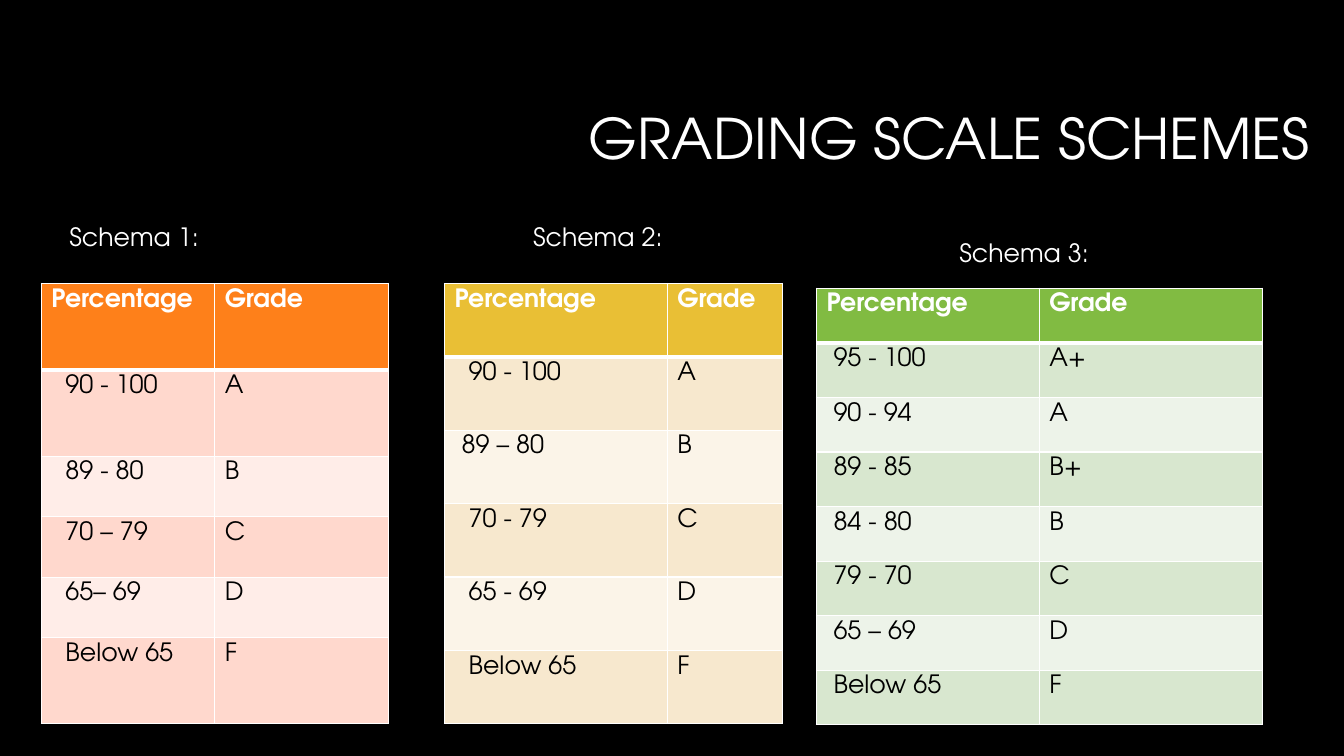
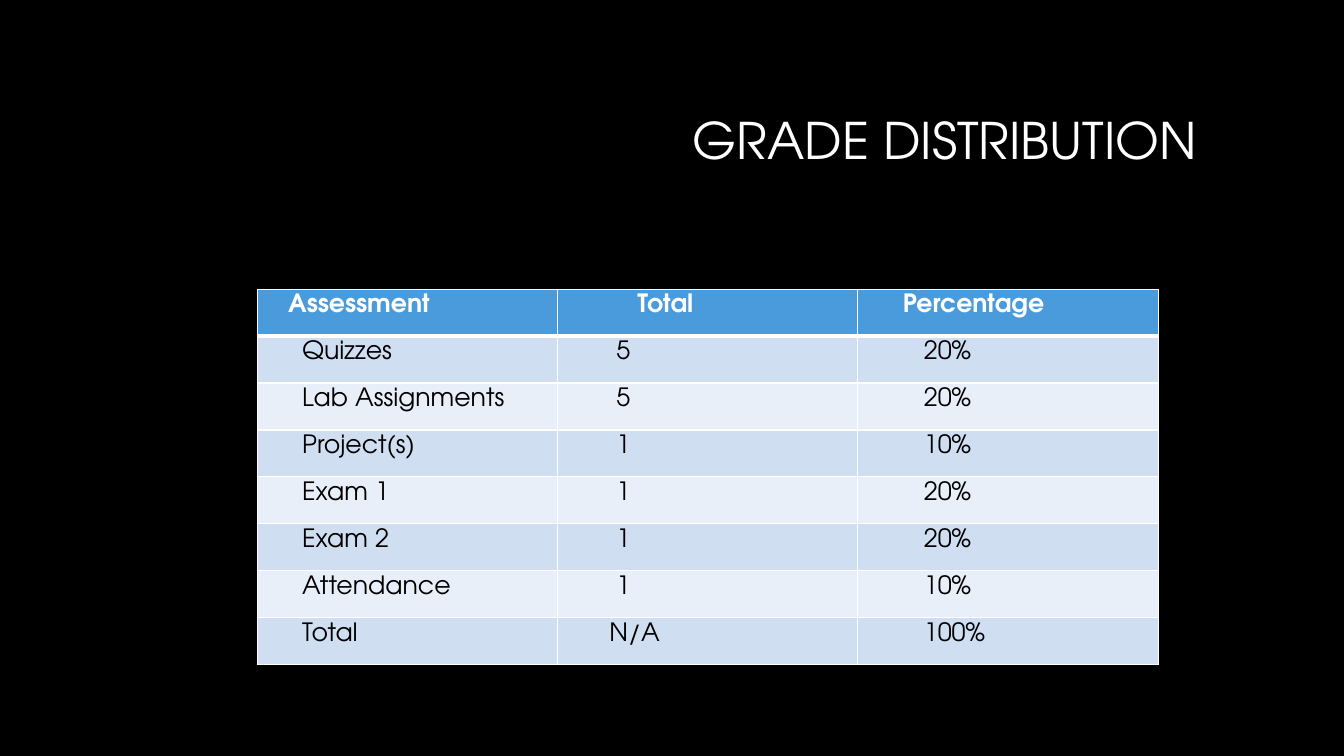
from dataclasses import dataclass

from lxml.etree import SubElement
from pptx import Presentation
from pptx.dml.color import RGBColor as Color
from pptx.enum.text import MSO_ANCHOR as Anchor, MSO_AUTO_SIZE as AutoSize, PP_ALIGN as Align
from pptx.oxml.ns import qn
from pptx.util import Inches, Pt


@dataclass(frozen=True)
class Theme:
    font: str = "TeX Gyre Adventor"
    background: str = "000000"
    light: str = "FFFFFF"
    dark: str = "000000"
    orange: tuple = ("FE801A", "FFD8CD", "FFEDE8")
    yellow: tuple = ("E9BF35", "F7E8CE", "FBF4E8")
    green: tuple = ("81BB42", "D8E7CF", "EDF3E9")
    blue: tuple = ("4A9BDC", "D0DEF2", "E9EFF9")
    title_size: int = 40
    small_title_size: int = 36
    body_size: int = 18
    thin: int = 1
    thick: int = 3
    cell_margin: float = 0.75
    indent_step: float = 0.52


class Deck:
    def __init__(self, theme):
        self.theme = theme
        self.presentation = Presentation()
        self.presentation.slide_width = Inches(13.33)
        self.presentation.slide_height = Inches(7.5)
        self.slide = None
        fill = self.presentation.slide_master.background.fill
        fill.solid()
        fill.fore_color.rgb = Color.from_string(theme.background)

    def across(self, percent):
        return round(self.presentation.slide_width * percent / 100)

    def down(self, percent):
        return round(self.presentation.slide_height * percent / 100)

    def add_text(self, paragraph, text, size, color, bold=False):
        run = paragraph.add_run()
        run.text = text
        run.font.name = self.theme.font
        run.font.size = Pt(size)
        run.font.bold = bold
        run.font.color.rgb = Color.from_string(color)

    def add_slide(self, title, left, top, size):
        layout = self.presentation.slide_layouts.get_by_name("Title Only")
        self.slide = self.presentation.slides.add_slide(layout)
        shape = self.slide.shapes.title
        shape.left, shape.top = self.across(left), self.down(top)
        shape.width, shape.height = self.across(70.65), self.down(19.87)
        frame = shape.text_frame
        frame.word_wrap = True
        frame.auto_size = AutoSize.NONE
        frame.vertical_anchor = Anchor.MIDDLE
        paragraph = frame.paragraphs[0]
        paragraph.alignment = Align.RIGHT
        paragraph.line_spacing = 0.9
        self.add_text(paragraph, title, size, self.theme.light)

    def add_label(self, text, left, top, width):
        shape = self.slide.shapes.add_textbox(
            self.across(left), self.down(top), self.across(width), self.down(5.33))
        shape.text_frame.word_wrap = True
        self.add_text(shape.text_frame.paragraphs[0], text,
                      self.theme.body_size, self.theme.light)

    def add_borders(self, cell, row):
        theme = self.theme
        widths = {
            "a:lnL": theme.thin,
            "a:lnR": theme.thin,
            "a:lnT": theme.thick if row == 1 else theme.thin,
            "a:lnB": theme.thick if row == 0 else theme.thin,
        }
        properties = cell._tc.get_or_add_tcPr()
        for tag, width in widths.items():
            line = SubElement(properties, qn(tag), w=str(Pt(width)))
            fill = SubElement(line, qn("a:solidFill"))
            SubElement(fill, qn("a:srgbClr"), val=theme.light)

    def add_table(self, records, left, top, columns, rows, palette,
                  head_indents, body_indents, exceptions=None):
        theme = self.theme
        exceptions = exceptions or {}
        table = self.slide.shapes.add_table(
            len(rows), len(columns), self.across(left), self.down(top),
            self.across(sum(columns)), self.down(sum(rows))).table
        for column, width in zip(table.columns, columns):
            column.width = self.across(width)
        for row, height in zip(table.rows, rows):
            row.height = self.down(height)
        header, *bands = palette
        for row, record in enumerate(records):
            is_head = row == 0
            indents = head_indents if is_head else body_indents
            for column, text in enumerate(record):
                cell = table.cell(row, column)
                steps = exceptions.get((row, column), indents[column])
                cell.margin_left = self.across(theme.cell_margin + steps * theme.indent_step)
                self.add_borders(cell, row)
                cell.fill.solid()
                cell.fill.fore_color.rgb = Color.from_string(
                    header if is_head else bands[(row - 1) % 2])
                self.add_text(cell.text_frame.paragraphs[0], text, theme.body_size,
                              theme.light if is_head else theme.dark, is_head)

    def save(self):
        self.presentation.save("out.pptx")


theme = Theme()
deck = Deck(theme)
grade_head = ("Percentage", "Grade")

deck.add_slide("GRADING SCALE SCHEMES", 27.53, 8.8, theme.title_size)
deck.add_table(
    [grade_head, ("90 - 100", "A"), ("89 - 80", "B"), ("70 – 79", "C"),
     ("65– 69", "D"), ("Below 65", "F")],
    3.08, 37.5, [12.9] * 2, [11.42] * 2 + [8] * 3 + [11.42],
    theme.orange, (0, 0), (2, 0))
deck.add_label("Schema 1:", 4.43, 28.67, 23.03)
deck.add_table(
    [grade_head, ("90 - 100", "A"), ("89 – 80", "B"), ("70 - 79", "C"),
     ("65 - 69", "D"), ("Below 65", "F")],
    33.08, 37.5, [16.58, 8.55], [9.71] * 6,
    theme.yellow, (0, 0), (2, 0), {(2, 0): 1})
deck.add_label("Schema 2:", 38.93, 28.67, 16.95)
deck.add_label("Schema 3:", 70.65, 30.67, 19.35)
deck.add_table(
    [grade_head, ("95 - 100", "A+"), ("90 - 94", "A"), ("89 - 85", "B+"),
     ("84 - 80", "B"), ("79 - 70", "C"), ("65 – 69", "D"), ("Below 65", "F")],
    60.75, 38.13, [16.58] * 2, [7.22] * 8,
    theme.green, (0, 0), (1, 0))

deck.add_slide("GRADE DISTRIBUTION", 19.13, 9.07, theme.small_title_size)
deck.add_table(
    [("Assessment", "Total", "Percentage"),
     ("Quizzes", "5", "20%"),
     ("Lab Assignments", "5", "20%"),
     ("Project(s)", "1", "10%"),
     ("Exam 1", "1", "20%"),
     ("Exam 2", "1", "20%"),
     ("Attendance", "1", "10%"),
     ("Total", "N/A", "100%")],
    19.13, 38.27, [22.35] * 3, [6.2] * 8,
    theme.blue, (3, 10, 5), (5, 7, 8), {(7, 1): 6})

deck.save()
